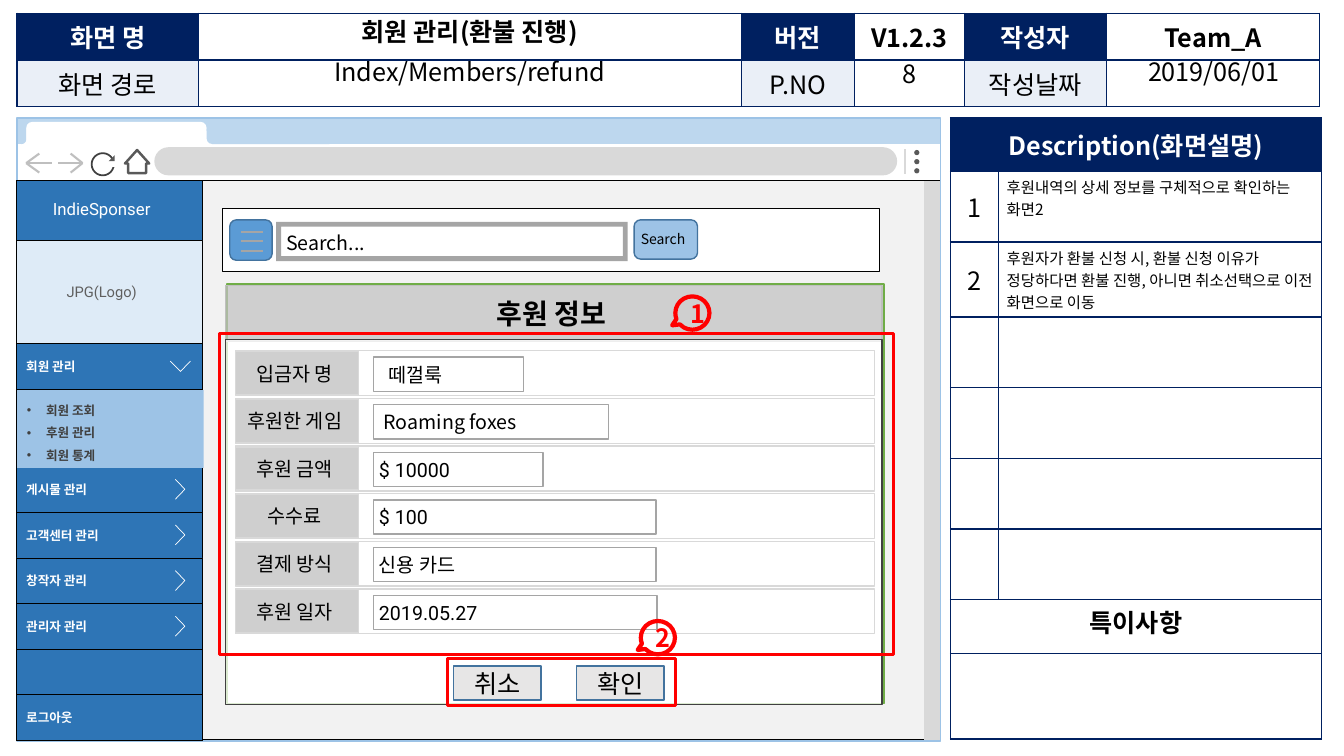
from dataclasses import dataclass

from lxml import etree
from pptx import Presentation
from pptx import util as u
from pptx.dml.color import RGBColor
from pptx.enum import shapes, text
from pptx.oxml import ns

KIND = shapes.MSO_SHAPE
LEFT, CENTER = text.PP_ALIGN.LEFT, text.PP_ALIGN.CENTER
TOP, MIDDLE = text.MSO_ANCHOR.TOP, text.MSO_ANCHOR.MIDDLE


@dataclass(frozen=True)
class Theme:
    sans: str = "Noto Sans CJK KR"
    ui: str = "Roboto"
    navy: str = "002060"
    pale: str = "EAEFF7"
    white: str = "FFFFFF"
    black: str = "000000"
    red: str = "FF0000"
    menu: str = "2E75B6"
    logo: str = "DEEBF7"
    logo_text: str = "5F5F5F"
    sky: str = "9DC3E6"
    strip: str = "BDD7EE"
    blue: str = "5B9BD5"
    blue_edge: str = "43739E"
    green: str = "70AD47"
    page: str = "F2F2F2"
    button: str = "E7E6E6"
    light: str = "D9D9D9"
    silver: str = "BFBFBF"
    gray: str = "A5A5A5"
    dim: str = "595959"
    dark: str = "404040"
    heading: float = 18
    panel: float = 20
    field: float = 14
    brand: float = 12
    note: float = 11
    logo_size: float = 10.5
    small: float = 10
    menu_size: float = 9


class Wireframe:
    SIDEBAR = (0.25, 0.13, 0.64, 0.13)
    FIELD = (0.13, 0.13, 0.25, 0.13)

    def __init__(self, slide, theme):
        self.slide, self.theme = slide, theme

    def set_text(self, frame, lines, size, color=None, bold=False, font=None, align=CENTER,
                 anchor=MIDDLE, insets=(0.25, 0.13, 0.25, 0.13), spacing=None, bullet=False):
        """Fill a text frame or a table cell."""
        cell = not hasattr(frame, "paragraphs")
        body = frame.text_frame if cell else frame
        body.word_wrap = True
        if not cell:
            body.auto_size = text.MSO_AUTO_SIZE.NONE
        frame.vertical_anchor = anchor
        frame.margin_left, frame.margin_top, frame.margin_right, frame.margin_bottom = map(u.Cm, insets)
        for index, line in enumerate(lines):
            paragraph = body.add_paragraph() if index else body.paragraphs[0]
            paragraph.alignment = align
            paragraph.space_before = u.Pt(0)
            if spacing:
                paragraph.line_spacing = spacing
            properties = paragraph._p.get_or_add_pPr()
            indent = u.Cm(0.48) if bullet else 0
            properties.set("marL", str(indent))
            properties.set("indent", str(-indent))
            mark = etree.SubElement(properties, ns.qn("a:buChar" if bullet else "a:buNone"))
            if bullet:
                mark.set("char", "•")
            run = paragraph.add_run()
            run.text = line
            run.font.size, run.font.bold = u.Pt(size), bold
            run.font.color.rgb = RGBColor.from_string(color or self.theme.black)
            run.font.name = font or self.theme.sans
            etree.SubElement(run._r.rPr, ns.qn("a:ea")).set("typeface", self.theme.sans)

    def paint(self, shape, fill=None, line=None, width=0.5, alpha=None):
        if fill:
            shape.fill.solid()
            shape.fill.fore_color.rgb = RGBColor.from_string(fill)
            if alpha:
                color = shape._element.spPr.find(ns.qn("a:solidFill"))[0]
                etree.SubElement(color, ns.qn("a:alpha")).set("val", str(alpha * 1000))
        else:
            shape.fill.background()
        if line:
            shape.line.color.rgb = RGBColor.from_string(line)
            shape.line.width = u.Pt(width)
        else:
            shape.line.fill.background()

    def shape(self, box, fill=None, line=None, width=0.5, kind=KIND.RECTANGLE, adjust=(), alpha=None):
        shape = self.slide.shapes.add_shape(kind, *map(u.Cm, box))
        shape.shadow.inherit = False
        for index, value in enumerate(adjust):
            shape.adjustments[index] = value
        self.paint(shape, fill, line, width, alpha)
        return shape

    def line(self, start, end, color, width):
        connector = self.slide.shapes.add_connector(shapes.MSO_CONNECTOR.STRAIGHT, *map(u.Cm, start + end))
        connector.line.color.rgb = RGBColor.from_string(color)
        connector.line.width = u.Pt(width)
        etree.SubElement(connector._element.spPr, ns.qn("a:effectLst"))

    def chevron(self, points):
        first, *rest = [(u.Cm(x), u.Cm(y)) for x, y in points]
        builder = self.slide.shapes.build_freeform(*first)
        builder.add_line_segments(rest, close=False)
        shape = builder.convert_to_shape()
        shape.shadow.inherit = False
        self.paint(shape, line=self.theme.white)

    def label(self, box, content, size, **style):
        self.set_text(self.slide.shapes.add_textbox(*map(u.Cm, box)).text_frame, [content], size, **style)

    def placeholder(self, index, box, lines, size, fill=None, **style):
        shape = next(p for p in self.slide.placeholders if p.placeholder_format.idx == index)
        shape.left, shape.top, shape.width, shape.height = map(u.Cm, box)
        self.slide.shapes._spTree.append(shape._element)
        self.paint(shape, fill)
        self.set_text(shape.text_frame, lines, size, **style)

    def table(self, left, top, columns, rows):
        frame = self.slide.shapes.add_table(len(rows), len(columns), u.Cm(left), u.Cm(top),
                                            u.Cm(sum(columns)), u.Cm(sum(rows)))
        table = frame.table
        table.first_row = table.horz_banding = False
        for column, width in zip(table.columns, columns):
            column.width = u.Cm(width)
        for row, height in zip(table.rows, rows):
            row.height = u.Cm(height)
        for cell in table.iter_cells():
            properties = cell._tc.get_or_add_tcPr()
            for side in ("lnL", "lnR", "lnT", "lnB"):
                border = etree.SubElement(properties, ns.qn("a:" + side), w=str(u.Pt(1)))
                solid = etree.SubElement(border, ns.qn("a:solidFill"))
                etree.SubElement(solid, ns.qn("a:srgbClr")).set("val", self.theme.navy)
            self.fill_cell(cell, self.theme.white)
        return table

    def fill_cell(self, cell, color):
        cell.fill.solid()
        cell.fill.fore_color.rgb = RGBColor.from_string(color)


def draw_browser(w, t):
    w.shape((0.41, 4.52, 23.27, 14.12), t.page, t.black)
    w.shape((23.29, 4.55, 0.41, 14.1), t.light)
    w.shape((0.43, 3.61, 23.27, 0.94), t.white, t.black)
    w.shape((3.89, 3.71, 18.72, 0.71), t.light, kind=KIND.ROUNDED_RECTANGLE, adjust=[0.5])
    for dot in range(3):
        w.shape((23.04, 3.78 + 0.23 * dot, 0.13, 0.13), t.dim, kind=KIND.OVAL)
    w.line((22.81, 3.76), (22.81, 4.39), t.light, 1)
    w.shape((0.43, 2.97, 23.27, 0.66), t.strip)
    # Back and forward arrows, reload, home
    for tip, barb, tail in ((0.66, 0.99, 1.3), (2.08, 1.78, 1.45)):
        for end in ((tail, 4.11), (barb, 3.87), (barb, 4.35)):
            w.line((tip, 4.11), end, t.silver, 1.5)
    w.shape((2.31, 3.86, 0.56, 0.56), line=t.dark, width=1.25, kind=KIND.OVAL)
    w.shape((2.77, 4.01, 0.2, 0.2), t.white)
    w.shape((2.74, 3.91, 0.15, 0.15), t.dim, kind=KIND.ISOSCELES_TRIANGLE, adjust=[1])
    home = w.shape((3.15, 3.78, 0.61, 0.58), t.white, t.dim, 1.75, KIND.DOWN_ARROW, [0.75, 0.586])
    home.rotation = 180
    # Tab with curved feet
    for box, color, radius in (((0.66, 3.07, 4.55, 0.58), t.white, 0.276), ((4.78, 3.3, 0.86, 0.38), t.white, 0.167),
                               ((5.21, 3.12, 3.23, 0.51), t.strip, 0.276), ((0.53, 3.3, 0.33, 0.38), t.white, 0.167),
                               ((0.43, 3.12, 0.23, 0.51), t.strip, 0.462)):
        w.shape(box, color, kind=KIND.ROUNDED_RECTANGLE, adjust=[radius])
    w.shape((0.43, 2.97, 23.27, 15.7), line=t.sky, width=1)


def draw_header(w, t):
    table = w.table(0.43, 0.33, [4.57, 13.69, 2.84, 2.77, 3.58, 5.38], [1.18, 1.18])
    for row, column, content, fill, color in (
            (0, 0, "화면 명", t.navy, t.white), (0, 2, "버전", t.navy, t.white), (0, 3, "V1.2.3", t.white, t.black),
            (0, 4, "작성자", t.navy, t.white), (0, 5, "Team_A", t.white, t.black),
            (1, 0, "화면 경로", t.pale, t.black), (1, 2, "P.NO", t.pale, t.black), (1, 4, "작성날짜", t.pale, t.black)):
        cell = table.cell(row, column)
        w.fill_cell(cell, fill)
        w.set_text(cell, [content], t.heading, color=color, bold=row == 0)
    for index, box, content in ((0, (5, 0.36, 13.67, 0.97), "회원 관리(환불 진행)"),
                                (1, (5, 1.37, 13.67, 0.97), "Index/Members/refund"),
                                (3, (27.91, 1.37, 5.36, 0.97), "2019/06/01")):
        w.placeholder(index, box, [content], t.heading, bold=index == 0, anchor=TOP, spacing=0.9)
    w.placeholder(4, (21.54, 1.37, 2.74, 0.97), ["8"], t.heading)


def draw_sidebar(w, t):
    for box, fill, content, size, color, anchor, top in (
            ((0.41, 4.55, 4.7, 14.1), t.menu, "IndieSponser", t.brand, t.white, TOP, 0.45),
            ((0.41, 6.05, 4.7, 2.62), t.logo, "JPG(Logo)", t.logo_size, t.logo_text, MIDDLE, 0.13)):
        w.set_text(w.shape(box, fill, t.black).text_frame, [content], size, color=color, font=t.ui,
                   anchor=anchor, insets=(0.25, top, 0.64, 0.13))
    for top, content in ((8.66, "회원 관리"), (11.76, "게시물 관리"), (12.91, "고객센터 관리"),
                         (14.06, "창작자 관리"), (15.21, "관리자 관리"), (17.51, "로그아웃")):
        item = w.shape((0.41, top, 4.7, 1.15), t.menu, t.black)
        w.set_text(item.text_frame, [content], t.menu_size, color=t.white, bold=True, font=t.ui,
                   align=LEFT, insets=w.SIDEBAR)
        middle = top + 0.57
        if top < 9:
            w.chevron([(4.29, middle - 0.13), (4.55, middle + 0.13), (4.8, middle - 0.13)])
        elif top < 17:
            w.chevron([(4.42, middle + 0.25), (4.66, middle), (4.42, middle - 0.25)])
    w.placeholder(2, (0.43, 9.83, 4.7, 1.96), ["회원 조회", "후원 관리", "회원 통계"], t.menu_size, fill=t.sky,
                  color=t.dark, bold=True, font=t.ui, align=LEFT, insets=w.SIDEBAR, spacing=1.5, bullet=True)


def draw_description(w, t):
    table = w.table(23.95, 2.97, [1.22, 8.13], [1.35] + [1.78] * 6 + [1.35, 2.16])
    for row in (0, 7, 8):
        table.cell(row, 0).merge(table.cell(row, 1))
    w.fill_cell(table.cell(0, 0), t.navy)
    insets = (0.2, 0.1, 0.2, 0.1)
    w.set_text(table.cell(0, 0), ["Description(화면설명)"], t.heading, color=t.white, bold=True, insets=insets)
    w.set_text(table.cell(7, 0), ["특이사항"], t.heading, bold=True, anchor=TOP, insets=insets)
    notes = ("후원내역의 상세 정보를 구체적으로 확인하는 화면2",
             "후원자가 환불 신청 시, 환불 신청 이유가 정당하다면 환불 진행, 아니면 취소선택으로 이전 화면으로 이동")
    for number, note in enumerate(notes, 1):
        w.set_text(table.cell(number, 0), [str(number)], t.heading, insets=insets)
        w.set_text(table.cell(number, 1), [note], t.note, align=LEFT, anchor=TOP, insets=insets)


def draw_search(w, t):
    w.shape((5.61, 5.26, 16.56, 1.57), t.white, t.black)
    w.shape((5.79, 5.54, 1.07, 1.02), t.blue, t.blue_edge, 1, KIND.ROUNDED_RECTANGLE)
    for bar in range(3):
        w.line((6.07, 5.84 + 0.24 * bar), (6.63, 5.84 + 0.24 * bar), t.gray, 1.5)
    w.shape((6.96, 5.59, 8.86, 0.99), t.gray, kind=KIND.FRAME, adjust=[0.125])
    w.label((6.96, 5.69, 2.82, 0.86), "Search...", t.field, align=LEFT, anchor=TOP)
    w.shape((15.98, 5.54, 1.6, 0.99), t.sky, t.blue_edge, 1, KIND.ROUNDED_RECTANGLE)
    w.label((15.9, 5.69, 1.93, 0.69), "Search", t.small, align=LEFT, anchor=TOP)


def draw_sponsorship(w, t):
    w.shape((5.72, 7.16, 16.56, 10.57), t.white, t.green, 1)
    heading = w.shape((5.69, 7.19, 16.54, 1.42), t.silver, t.silver, 1, alpha=75)
    w.set_text(heading.text_frame, ["후원 정보"], t.panel, bold=True, font=t.ui, insets=w.FIELD)
    w.shape((5.69, 8.56, 16.54, 9.19), t.white, t.dark, 1, alpha=75)
    # Fields: name, value, value width, left inset, font
    fields = (("입금자 명", "떼껄룩", 3.78, 0.38, t.ui), ("후원한 게임", "Roaming foxes", 5.92, 0.25, t.sans),
              ("후원 금액", "$ 10000", 4.27, 0.13, t.ui), ("수수료", "$ 100", 7.11, 0.13, t.ui),
              ("결제 방식", "신용 카드", 7.11, 0.13, t.ui), ("후원 일자", "2019.05.27", 7.14, 0.13, t.ui))
    for index, (name, value, width, inset, font) in enumerate(fields):
        top = 8.86 + 1.2 * index
        w.shape((5.94, top - 0.02, 16.1, 1.13), t.white, t.light, 1, alpha=75)
        caption = w.shape((5.94, top, 3.1, 1.09), t.silver, t.light, 1, alpha=75)
        w.set_text(caption.text_frame, [name], t.field, font=t.ui, insets=w.FIELD)
        entry = w.shape((9.42, top + 0.14, width, 0.86), t.white, t.gray, 1, alpha=75)
        w.set_text(entry.text_frame, [value], t.field, font=font, align=LEFT, insets=(inset, 0.13, 0.25, 0.13))
    # Red markers and buttons
    w.shape((5.54, 8.41, 16.97, 8.08), line=t.red, width=2.25)
    for number, left, top in (("1", 17.02, 7.47), ("2", 16.15, 15.65)):
        callout = w.shape((left, top, 0.86, 0.84), line=t.red, width=3, kind=KIND.OVAL_CALLOUT, adjust=[-0.593, 0.369])
        w.set_text(callout.text_frame, [number], t.heading, color=t.red, bold=True, insets=(0.25, 0, 0, 0))
    w.shape((11.28, 16.59, 5.74, 1.19), line=t.red, width=2.25)
    for left, content in ((11.43, "취소"), (14.53, "확인")):
        button = w.shape((left, 16.78, 2.21, 0.86), t.button, t.blue_edge, 1)
        w.set_text(button.text_frame, [content], t.heading)


def main():
    presentation = Presentation()
    presentation.slide_width, presentation.slide_height = u.Cm(33.87), u.Cm(19.05)
    theme = Theme()
    wireframe = Wireframe(presentation.slides.add_slide(presentation.slide_layouts[4]), theme)
    for draw in (draw_browser, draw_header, draw_sidebar, draw_description, draw_search, draw_sponsorship):
        draw(wireframe, theme)
    presentation.save("out.pptx")


if __name__ == "__main__":
    main()
